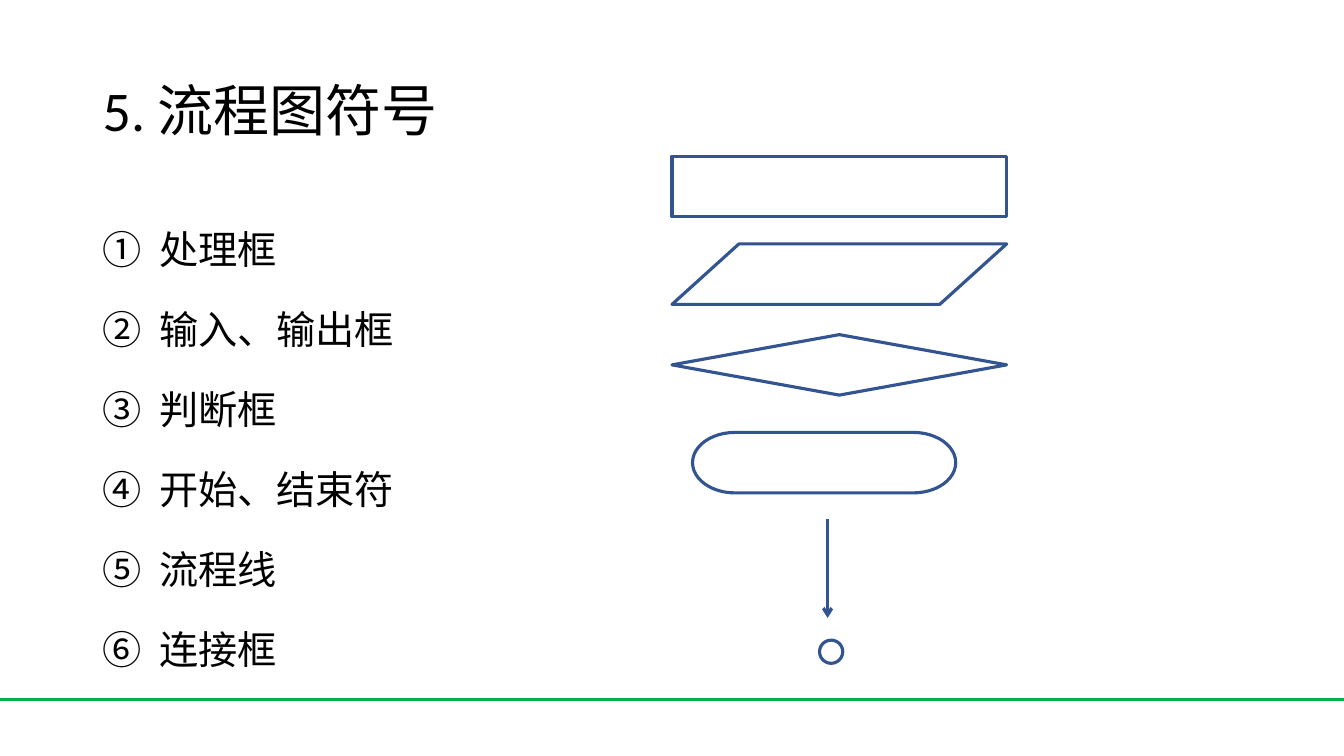
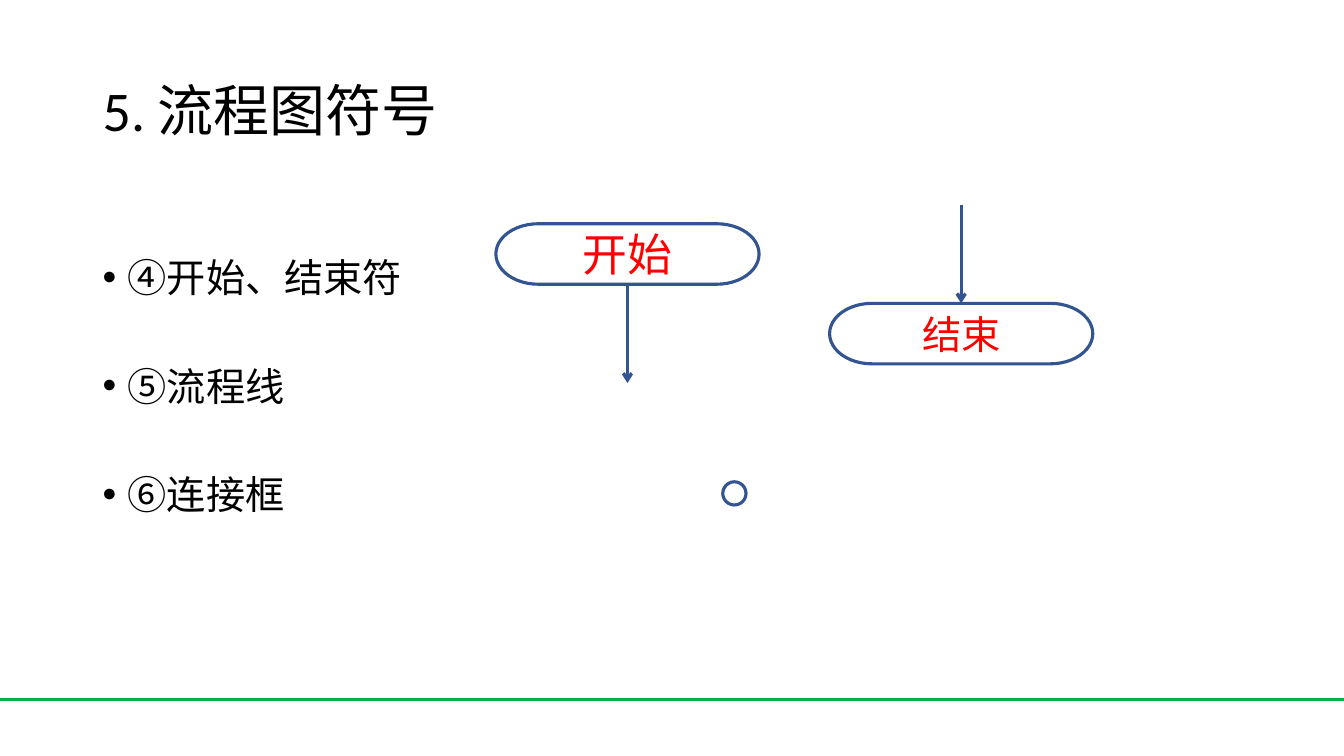
from lxml import etree
from pptx import Presentation
from pptx.dml.color import RGBColor
from pptx.enum.shapes import MSO_CONNECTOR, MSO_SHAPE
from pptx.enum.text import MSO_ANCHOR, PP_ALIGN
from pptx.oxml.ns import qn
from pptx.util import Inches, Pt

BLACK = RGBColor(0x00, 0x00, 0x00)
BLUE = RGBColor(0x32, 0x54, 0x91)
GREEN = RGBColor(0x00, 0xB0, 0x50)
RED = RGBColor(0xFF, 0x00, 0x00)
FONT = "Calibri"

PROCESS = MSO_SHAPE.FLOWCHART_PROCESS
INPUT_OUTPUT = MSO_SHAPE.FLOWCHART_DATA
DECISION = MSO_SHAPE.FLOWCHART_DECISION
TERMINATOR = MSO_SHAPE.FLOWCHART_TERMINATOR
JOINT = MSO_SHAPE.FLOWCHART_CONNECTOR
STRAIGHT = MSO_CONNECTOR.STRAIGHT
CENTER, LEFT = PP_ALIGN.CENTER, PP_ALIGN.LEFT
MIDDLE, TOP = MSO_ANCHOR.MIDDLE, MSO_ANCHOR.TOP

WIDTH, HEIGHT = Inches(13.333), Inches(7.5)

# Positions and sizes are percentages of the slide's width and height.
MARGIN, CONTENT_W = 6.9, 86.25
TITLE_Y, TITLE_H = 5.33, 19.33
BODY_Y, BODY_H = 26.67, 63.47
FOOTER_Y = 92.53
BOX_SIZE = (24.9, 8)
PILL_SIZE = (19.58, 8)
JOINT_SIZE = (1.73, 3.07)
ARROW_H = 13.07


def col(share):
    return round(WIDTH * share / 100)


def row(share):
    return round(HEIGHT * share / 100)


def write(tf, lines, size=28, color=BLACK, align=LEFT, anchor=TOP,
          spacing=1.0, before=0, bullet=None, indent=0):
    """Fill a text frame; bullet is a (tag, attributes) pair."""
    tf.word_wrap = True
    tf.vertical_anchor = anchor
    for i, line in enumerate(lines):
        p = tf.paragraphs[0] if i == 0 else tf.add_paragraph()
        p.alignment = align
        p.line_spacing = spacing
        p.space_before = Pt(before)
        r = p.add_run()
        r.text = line
        r.font.size = Pt(size)
        r.font.name = FONT
        r.font.color.rgb = color
        if bullet:
            tag, attributes = bullet
            pPr = p._p.get_or_add_pPr()
            pPr.set("marL", str(Inches(indent)))
            pPr.set("indent", str(-Inches(indent)))
            etree.SubElement(pPr, qn("a:buFont"), typeface="Arial")
            etree.SubElement(pPr, qn(tag), **attributes)


def add_text(s, y, h, lines, **fmt):
    box = s.shapes.add_textbox(col(MARGIN), row(y), col(CONTENT_W), row(h))
    write(box.text_frame, lines, **fmt)


def add_line(s, x1, y1, x2, y2, color=BLUE, width=2.25, arrow=False):
    line = s.shapes.add_connector(STRAIGHT, col(x1), row(y1), col(x2), row(y2))
    line.line.color.rgb = color
    line.line.width = Pt(width)
    if arrow:
        etree.SubElement(line.line._get_or_add_ln(), qn("a:tailEnd"), type="arrow")
    etree.SubElement(line._element.spPr, qn("a:effectLst"))


def add_flow_arrow(s, x, y):
    add_line(s, x, y, x, y + ARROW_H, arrow=True)


def add_symbol(s, kind, x, y, size, label=None, label_size=28):
    w, h = size
    sp = s.shapes.add_shape(kind, col(x), row(y), col(w), row(h))
    sp.shadow.inherit = False
    sp.fill.background()
    sp.line.color.rgb = BLUE
    sp.line.width = Pt(2.25)
    if label:
        write(sp.text_frame, [label], size=label_size, color=RED,
              align=CENTER, anchor=MIDDLE)


def add_base(prs):
    """Add a slide with the shared title and footer line."""
    s = prs.slides.add_slide(prs.slide_layouts[6])
    add_line(s, 0, FOOTER_Y, 100, FOOTER_Y, color=GREEN, width=1.5)
    add_text(s, TITLE_Y, TITLE_H, ["5. 流程图符号"], size=40, anchor=MIDDLE,
             spacing=0.9)
    return s


def add_symbol_overview(prs):
    s = add_base(prs)
    add_text(s, BODY_Y, BODY_H,
             ["处理框", "输入、输出框", "判断框", "开始、结束符", "流程线", "连接框"],
             spacing=1.4, before=10, indent=0.56,
             bullet=("a:buAutoNum", {"type": "circleNumDbPlain"}))
    for kind, y in ((PROCESS, 20.67), (INPUT_OUTPUT, 32.27), (DECISION, 44.27)):
        add_symbol(s, kind, 50, y, BOX_SIZE)
    add_symbol(s, TERMINATOR, 51.53, 57.2, PILL_SIZE)
    add_flow_arrow(s, 61.58, 68.67)
    add_symbol(s, JOINT, 60.98, 84.67, JOINT_SIZE)


def add_start_and_end(prs):
    s = add_base(prs)
    add_text(s, BODY_Y, BODY_H, ["④开始、结束符", "⑤流程线", "⑥连接框"],
             spacing=2.0, before=10, indent=0.25,
             bullet=("a:buChar", {"char": "•"}))
    pill_w, pill_h = PILL_SIZE
    start_x, start_y = 36.9, 29.6
    end_x, end_y = 61.73, 40.13
    add_symbol(s, JOINT, 53.78, 63.73, JOINT_SIZE)
    add_symbol(s, TERMINATOR, start_x, start_y, PILL_SIZE, "开始", 32)
    add_flow_arrow(s, start_x + pill_w / 2, start_y + pill_h)
    add_symbol(s, TERMINATOR, end_x, end_y, PILL_SIZE, "结束")
    add_flow_arrow(s, end_x + pill_w / 2, end_y - ARROW_H)


def main():
    prs = Presentation()
    prs.slide_width, prs.slide_height = WIDTH, HEIGHT
    add_symbol_overview(prs)
    add_start_and_end(prs)
    prs.save("out.pptx")


if __name__ == "__main__":
    main()
